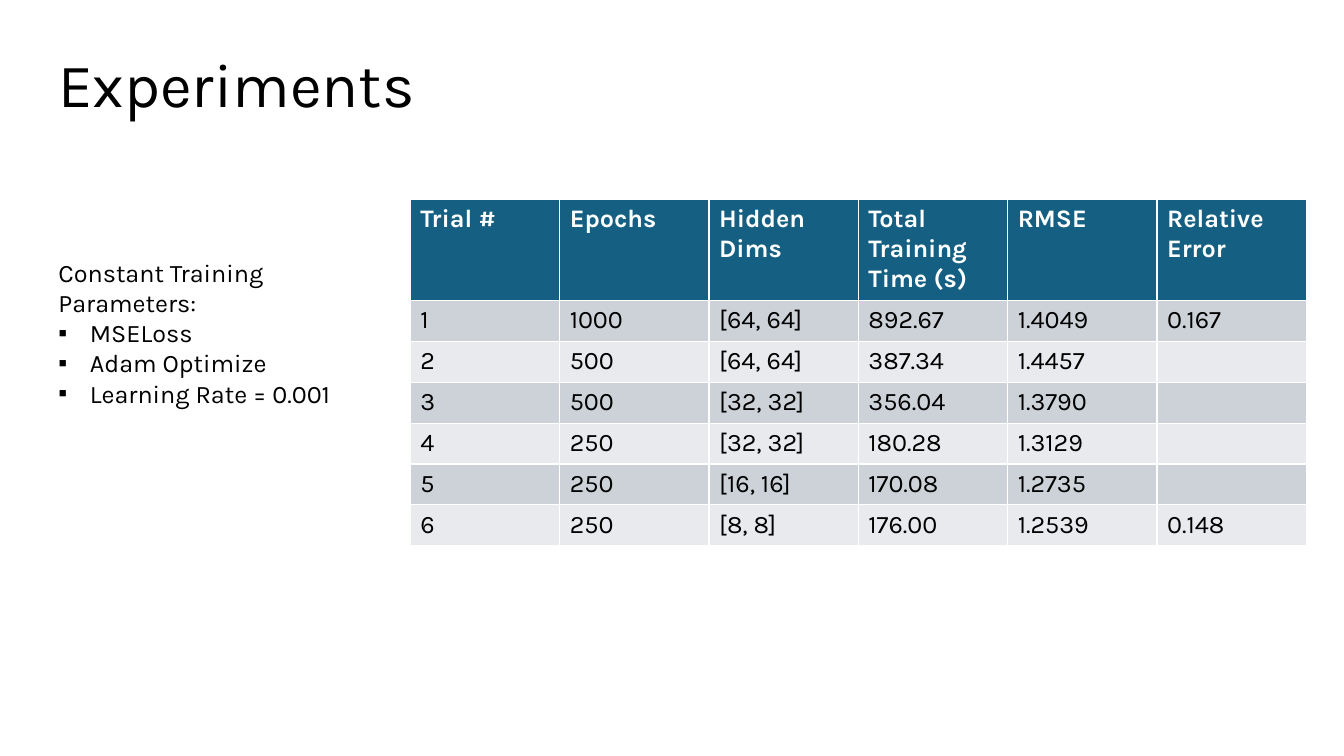
from lxml.etree import SubElement
from pptx import Presentation
from pptx.dml.color import RGBColor
from pptx.enum.text import MSO_ANCHOR
from pptx.oxml.ns import qn
from pptx.util import Pt

TITLE = "Experiments"
PARAMETERS_HEADING = "Constant Training Parameters:"
PARAMETERS = ["MSELoss", "Adam Optimize", "Learning Rate = 0.001"]
TRIALS = [
    ("Trial #", "Epochs", "Hidden Dims", "Total Training Time (s)", "RMSE", "Relative Error"),
    ("1", "1000", "[64, 64]", "892.67", "1.4049", "0.167"),
    ("2", "500", "[64, 64]", "387.34", "1.4457", ""),
    ("3", "500", "[32, 32]", "356.04", "1.3790", ""),
    ("4", "250", "[32, 32]", "180.28", "1.3129", ""),
    ("5", "250", "[16, 16]", "170.08", "1.2735", ""),
    ("6", "250", "[8, 8]", "176.00", "1.2539", "0.148"),
]

BLACK = RGBColor(0x00, 0x00, 0x00)
WHITE = RGBColor(0xFF, 0xFF, 0xFF)
TEAL = RGBColor(0x15, 0x60, 0x82)
BANDS = [RGBColor(0xE8, 0xEA, 0xED), RGBColor(0xCC, 0xD2, 0xD8)]

TITLE_FORMAT = {"name": "Karla", "size": Pt(44), "bold": False}
BODY_FORMAT = {"name": "Karla", "size": Pt(18), "bold": False}
HEADER_FORMAT = {**BODY_FORMAT, "bold": True}

TABLE_LEFT, TABLE_TOP = 293.1, 142.6
COLUMN_WIDTH, HEADER_HEIGHT, ROW_HEIGHT = 106.67, 70, 29.2
BULLET_INDENT = 22.5


def write(para, text, text_format, color=BLACK):
    span = para.add_run()
    span.text = text
    for name, value in text_format.items():
        setattr(span.font, name, value)
    span.font.color.rgb = color


def add_text_frame(page, left, top, width, height, anchor):
    box = page.shapes.add_textbox(Pt(left), Pt(top), Pt(width), Pt(height))
    box.text_frame.word_wrap = True
    box.text_frame.vertical_anchor = anchor
    return box.text_frame


def add_bullet(para):
    properties = para._p.get_or_add_pPr()
    properties.set("marL", str(Pt(BULLET_INDENT)))
    properties.set("indent", str(-Pt(BULLET_INDENT)))
    SubElement(properties, qn("a:buFont"), typeface="Arial")
    SubElement(properties, qn("a:buChar"), char="▪")


def add_trials(page):
    rows, columns = len(TRIALS), len(TRIALS[0])
    table_height = HEADER_HEIGHT + ROW_HEIGHT * (rows - 1)
    table = page.shapes.add_table(
        rows, columns, Pt(TABLE_LEFT), Pt(TABLE_TOP),
        Pt(COLUMN_WIDTH * columns), Pt(table_height)).table
    for column in table.columns:
        column.width = Pt(COLUMN_WIDTH)
    for index, trial in enumerate(TRIALS):
        header = index == 0
        table.rows[index].height = Pt(HEADER_HEIGHT if header else ROW_HEIGHT)
        for cell, text in zip(table.rows[index].cells, trial):
            cell.fill.solid()
            cell.fill.fore_color.rgb = TEAL if header else BANDS[index % 2]
            if text:
                write(cell.text_frame.paragraphs[0], text,
                      HEADER_FORMAT if header else BODY_FORMAT,
                      WHITE if header else BLACK)


def main():
    deck = Presentation()
    deck.slide_width, deck.slide_height = Pt(960), Pt(540)
    page = deck.slides.add_slide(deck.slide_layouts[6])

    title = add_text_frame(page, 34.6, 10, 828, 104.4, MSO_ANCHOR.MIDDLE)
    title.paragraphs[0].line_spacing = 0.9
    write(title.paragraphs[0], TITLE, TITLE_FORMAT)

    add_trials(page)

    parameters = add_text_frame(page, 34.6, 180, 231, 116.6, MSO_ANCHOR.TOP)
    write(parameters.paragraphs[0], PARAMETERS_HEADING, BODY_FORMAT)
    for parameter in PARAMETERS:
        para = parameters.add_paragraph()
        add_bullet(para)
        write(para, parameter, BODY_FORMAT)

    deck.save("out.pptx")


if __name__ == "__main__":
    main()
